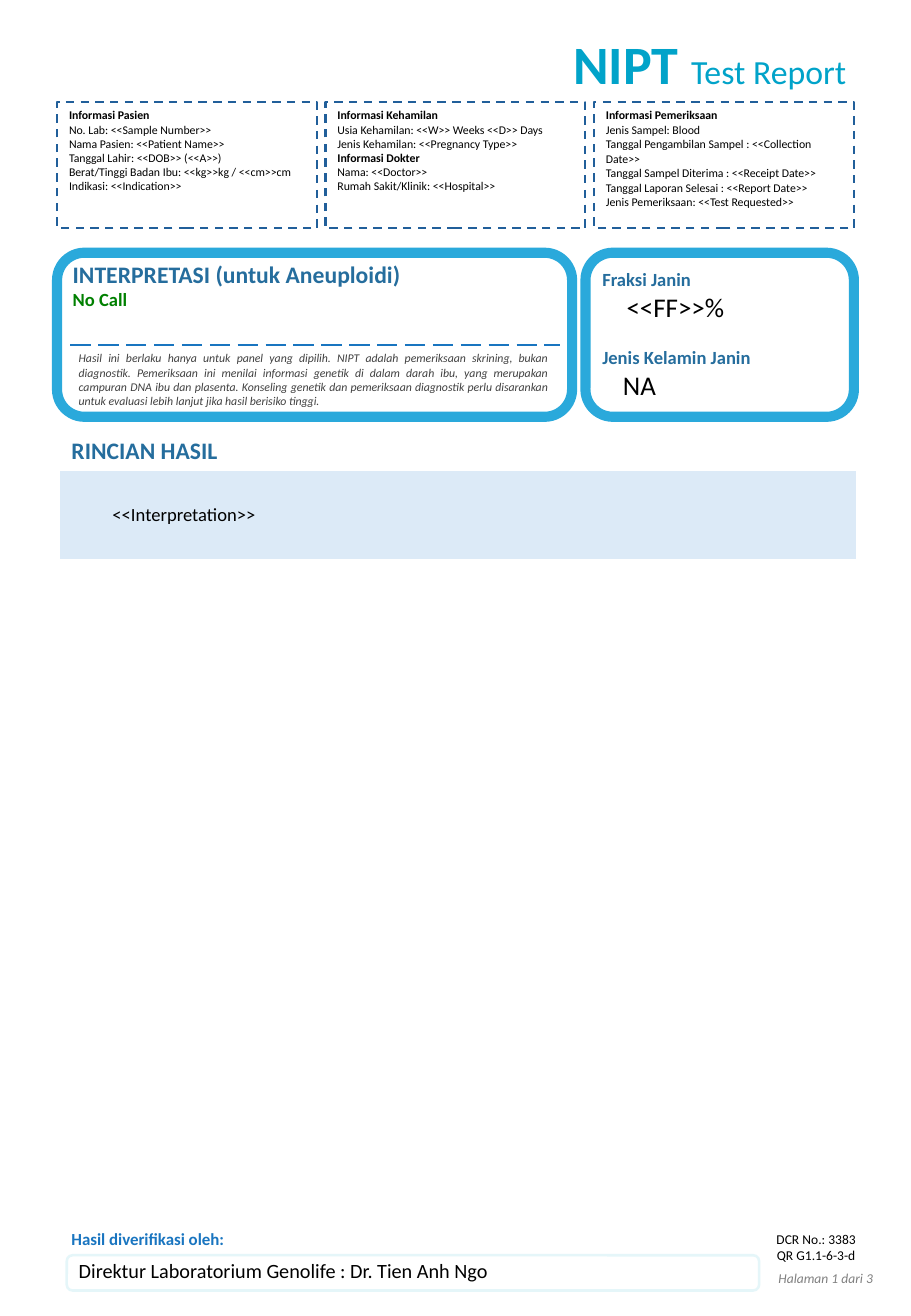
from dataclasses import dataclass

from lxml import etree
from pptx import Presentation
from pptx import util as u
from pptx.dml.color import RGBColor
from pptx.enum import dml, shapes, text
from pptx.oxml import ns


@dataclass(frozen=True)
class Style:
    size: float
    color: str
    bold: bool = False
    italic: bool = False


class Theme:
    font = "Calibri"
    dashed_box, frame, rule, signature_box = "215F9A", "2AA9DB", "1975C0", "E5F6F9"
    result_fill = "DCEAF7"
    brand = Style(32, "01A3C9", bold=True)
    subtitle = Style(20, "01A3C9")
    heading = Style(14, "256D9D", bold=True)
    label = Style(11, "256D9D", bold=True)
    no_call = Style(11, "008000", bold=True)
    value = Style(16, "000000")
    result = Style(11, "000000")
    info_head = Style(7, "000000", bold=True)
    info = Style(7, "000000")
    disclaimer = Style(7, "404040", italic=True)
    verified = Style(10, "1975C0", bold=True)
    signer = Style(12, "000000")
    code = Style(8, "000000")
    page = Style(8, "808080", italic=True)


ALIGN = text.PP_ALIGN
DASH = dml.MSO_LINE


class Report:
    def __init__(self, width, height):
        self.deck = Presentation()
        self.deck.slide_width, self.deck.slide_height = u.Inches(width), u.Inches(height)
        self.slide = self.deck.slides.add_slide(self.deck.slide_layouts[6])

    def add_runs(self, paragraph, runs, align=ALIGN.LEFT, before=0, indent=0):
        paragraph.alignment = align
        if before:
            paragraph.space_before = u.Pt(before)
        if indent:
            paragraph._p.get_or_add_pPr().set("marL", str(u.Inches(indent)))
        for words, style in runs:
            run = paragraph.add_run()
            run.text = words
            font = run.font
            font.name, font.size = Theme.font, u.Pt(style.size)
            font.bold, font.italic = style.bold, style.italic
            font.color.rgb = RGBColor.from_string(style.color)

    def textbox(self, at, paragraphs, align=ALIGN.LEFT, wrap=True):
        frame = self.slide.shapes.add_textbox(*map(u.Inches, at)).text_frame
        frame.word_wrap = wrap
        frame.auto_size = text.MSO_AUTO_SIZE.SHAPE_TO_FIT_TEXT
        for index, (runs, spacing) in enumerate(paragraphs):
            paragraph = frame.add_paragraph() if index else frame.paragraphs[0]
            self.add_runs(paragraph, runs, align, **spacing)

    def stroke(self, line, color, width, dash=None):
        line.color.rgb = RGBColor.from_string(color)
        line.width = u.Pt(width)
        if dash:
            line.dash_style = dash

    def outline(self, kind, at, color, width, dash=None):
        shape = self.slide.shapes.add_shape(kind, *map(u.Inches, at))
        shape.shadow.inherit = False
        shape.fill.background()
        self.stroke(shape.line, color, width, dash)

    def rule(self, left, right, top, color, width, dash):
        ends = map(u.Inches, (left, top, right, top))
        line = self.slide.shapes.add_connector(shapes.MSO_CONNECTOR.STRAIGHT, *ends)
        self.stroke(line.line, color, width, dash)
        etree.SubElement(line._element.spPr, ns.qn("a:effectLst"))

    def result_row(self, at, widths, words):
        frame = self.slide.shapes.add_table(1, len(widths), *map(u.Inches, at))
        table = frame.table
        table.first_row = table.horz_banding = False
        for style_id in frame._element.iter(ns.qn("a:tableStyleId")):
            style_id.text = "{2D5ABB26-0587-4C30-8999-92F81FD0307C}"
        for column, width in zip(table.columns, widths):
            column.width = u.Inches(width)
        for cell in table.rows[0].cells:
            cell.fill.solid()
            cell.fill.fore_color.rgb = RGBColor.from_string(Theme.result_fill)
        first = table.cell(0, 0)
        first.vertical_anchor = text.MSO_ANCHOR.MIDDLE
        self.add_runs(first.text_frame.paragraphs[0], [(words, Theme.result)], ALIGN.CENTER)


def line(words, style, **spacing):
    return [(words, style)], spacing


def head(words):
    return line(words, Theme.info_head)


def info(words, **spacing):
    return line(words, Theme.info, **spacing)


INFO_PANELS = [
    [
        head("Informasi Pasien"),
        info("No. Lab: <<Sample Number>>"),
        info("Nama Pasien: <<Patient Name>>"),
        info("Tanggal Lahir: <<DOB>> (<<A>>)"),
        info("Berat/Tinggi Badan Ibu: <<kg>>kg / <<cm>>cm"),
        info("Indikasi: <<Indication>>"),
    ],
    [
        head("Informasi Kehamilan"),
        info("Usia Kehamilan: <<W>> Weeks <<D>> Days"),
        info("Jenis Kehamilan: <<Pregnancy Type>>"),
        head("Informasi Dokter"),
        info("Nama: <<Doctor>>"),
        info("Rumah Sakit/Klinik: <<Hospital>>"),
    ],
    [
        head("Informasi Pemeriksaan"),
        info("Jenis Sampel: Blood"),
        info("Tanggal Pengambilan Sampel : <<Collection Date>>", before=0.4),
        info("Tanggal Sampel Diterima : <<Receipt Date>>", before=0.4),
        info("Tanggal Laporan Selesai : <<Report Date>>", before=0.4),
        info("Jenis Pemeriksaan: <<Test Requested>>"),
    ],
]

DISCLAIMER = (
    "Hasil ini berlaku hanya untuk panel yang dipilih. NIPT adalah pemeriksaan skrining, "
    "bukan diagnostik. Pemeriksaan ini menilai informasi genetik di dalam darah ibu, yang "
    "merupakan campuran DNA ibu dan plasenta. Konseling genetik dan pemeriksaan diagnostik "
    "perlu disarankan untuk evaluasi lebih lanjut jika hasil berisiko tinggi."
)


def main():
    report = Report(7.5, 10.83)
    rect, rounded = shapes.MSO_SHAPE.RECTANGLE, shapes.MSO_SHAPE.ROUNDED_RECTANGLE

    title = [("NIPT ", Theme.brand), ("Test Report", Theme.subtitle)]
    report.textbox((4.61, 0.2, 2.47, 0.64), [(title, {})], ALIGN.CENTER, wrap=False)

    for index, panel in enumerate(INFO_PANELS):
        left = 0.47 + 2.21 * index
        report.outline(rect, (left, 0.84, 2.14, 1.04), Theme.dashed_box, 1.25, DASH.DASH)
        report.textbox((left, 0.84, 2.14, 0.81), panel)

    for left, width in ((0.47, 4.24), (4.82, 2.21)):
        report.outline(rounded, (left, 2.08, width, 1.35), Theme.frame, 6)
    report.textbox((0.5, 2.09, 4.22, 0.72), [
        line("INTERPRETASI (untuk Aneuploidi)", Theme.heading),
        line("No Call", Theme.no_call),
    ])
    report.rule(0.58, 4.61, 2.84, Theme.rule, 1.5, DASH.LONG_DASH)
    report.textbox((0.55, 2.84, 4.06, 0.57), [line(DISCLAIMER, Theme.disclaimer)],
                   ALIGN.JUSTIFY)
    report.textbox((4.86, 2.16, 2.15, 1.19), [
        line("Fraksi Janin", Theme.label),
        line("<<FF>>%", Theme.value, indent=0.2),
        line("Jenis Kelamin Janin", Theme.label, before=13.4),
        line("NA", Theme.value, indent=0.17),
    ])

    report.textbox((0.49, 3.54, 4.09, 0.34), [line("RINCIAN HASIL", Theme.heading)])
    report.result_row((0.49, 3.88, 6.55, 0.72), (2.05, 1.19, 1.04, 1.17, 1.11),
                      "<<Interpretation>>")

    report.textbox((0.49, 10.06, 1.48, 0.27),
                   [line("Hasil diverifikasi oleh:", Theme.verified)], wrap=False)
    report.outline(rounded, (0.55, 10.33, 5.7, 0.29), Theme.signature_box, 1.5)
    report.textbox((0.55, 10.31, 3.8, 0.3), [
        line("Direktur Laboratorium Genolife : Dr. Tien Anh Ngo", Theme.signer),
    ])
    report.textbox((6.25, 10.08, 0.94, 0.37), [
        line("DCR No.: 3383", Theme.code),
        line("QR G1.1-6-3-d", Theme.code),
    ], ALIGN.CENTER)
    report.textbox((6.31, 10.4, 1.02, 0.24), [line("Halaman 1 dari 3", Theme.page)],
                   wrap=False)

    report.deck.save("out.pptx")


if __name__ == "__main__":
    main()
